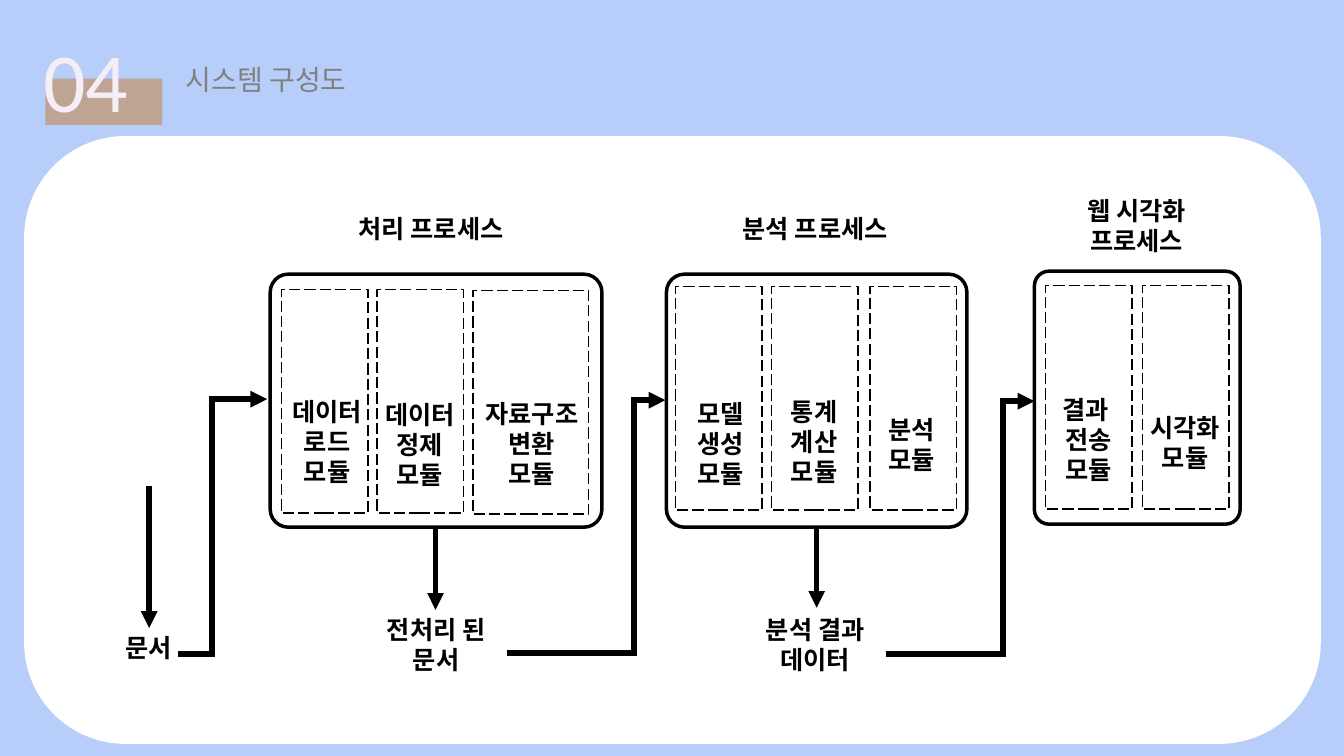
import pptx
import pptx.util
import pptx.dml.color
import pptx.enum.dml
import pptx.enum.shapes
import pptx.enum.text
from lxml import etree

SHAPE = pptx.enum.shapes.MSO_SHAPE
ALIGN = pptx.enum.text.PP_ALIGN
COLS, ROWS = 133.3, 75
CELL = pptx.util.Inches(0.1)
COLORS = {"sky": "B7CEFB", "tan": "BEA493", "number": "F5EEF6",
          "title": "808080", "panel": "FFFFFF", "ink": "000000"}
LABEL_FONT, HEAD_FONT = "Noto Sans CJK KR", "Calibri"
MODULE_W, MODULE_H = 8.6, 22.2
FRAME_H = 25.1

STAGES = [
    {"frame": (26.8, 27.2, 32.9), "title": (32.5, 20.7, 20.5, "처리 프로세스"),
     "modules": [(27.9, 28.7, MODULE_W), (37.4, 28.7, MODULE_W), (46.9, 28.8, 11.5)],
     "labels": [(27.1, 38.8, 10.7, "데이터\n로드\n모듈"),
                (36.3, 39.1, 10.7, "데이터\n정제\n모듈"),
                (45.9, 39, 13.7, "자료구조\n변환\n모듈")]},
    {"frame": (66.1, 27.2, 29.8), "title": (70.6, 20.7, 20.5, "분석 프로세스"),
     "modules": [(67, 28.4, MODULE_W), (76.5, 28.4, MODULE_W), (86.3, 28.4, MODULE_W)],
     "labels": [(66.1, 39, 10.7, "모델\n생성\n모듈"),
                (75.4, 38.8, 10.7, "통계\n계산\n모듈"),
                (85.1, 40.6, 10.7, "분석\n모듈")]},
    {"frame": (102.6, 26.9, 20.4), "title": (99.7, 18.9, 26.1, "웹 시각화\n프로세스"),
     "modules": [(103.7, 28.3, MODULE_W), (113.3, 28.3, MODULE_W)],
     "labels": [(102.6, 38.6, 10.7, "결과 \n전송\n모듈"),
                (112.2, 40.4, 10.7, "시각화\n모듈")]},
]
OUTPUTS = [(4.5, 62.3, "문서"), (33, 60.5, "전처리 된\n문서"), (70.6, 60.5, "분석 결과\n데이터")]
DOWN_ARROWS = [(14.8, 48.2, 62.3), (43.2, 52.4, 60.5), (81, 52.3, 60.3)]
ELBOWS = [(17.7, 21, 26.5, 64.9, 39.6), (50.3, 62.9, 66, 64.8, 39.7),
          (87.9, 99.5, 102.6, 64.9, 39.8)]


def grid(*cells):
    return [round(c * CELL) for c in cells]


def rgb(name):
    return pptx.dml.color.RGBColor.from_string(COLORS[name])


def add_box(s, kind, at, fill=None, weight=None, dash=None, corner=None):
    sp = s.shapes.add_shape(kind, *grid(*at))
    sp.shadow.inherit = False
    if corner is not None:
        sp.adjustments[0] = corner
    if fill:
        sp.fill.solid()
        sp.fill.fore_color.rgb = rgb(fill)
    else:
        sp.fill.background()
    if weight:
        sp.line.color.rgb = rgb("ink")
        sp.line.width = pptx.util.Pt(weight)
        sp.line.dash_style = dash
    else:
        sp.line.fill.background()


def format_text(sp, text, size, font, color, bold=False, align=ALIGN.LEFT, spacing=None):
    tf = sp.text_frame
    tf.word_wrap = True
    tf.auto_size = pptx.enum.text.MSO_AUTO_SIZE.NONE
    tf.vertical_anchor = pptx.enum.text.MSO_ANCHOR.TOP
    tf.text = text
    for p in tf.paragraphs:
        p.alignment = align
        if spacing:
            p.line_spacing = pptx.util.Pt(spacing)
        for r in p.runs:
            r.font.name = font
            r.font.size = pptx.util.Pt(size)
            r.font.bold = bold
            r.font.color.rgb = rgb(color)


def add_label(s, x, y, w, text):
    h = 1.2 + 3.8 * len(text.split("\n"))
    sp = s.shapes.add_textbox(*grid(x, y, w, h))
    format_text(sp, text, 18, LABEL_FONT, "ink", True, ALIGN.CENTER, 21.5)


def add_line(s, x1, y1, x2, y2, arrow=False):
    sp = s.shapes.add_connector(pptx.enum.shapes.MSO_CONNECTOR.STRAIGHT, *grid(x1, y1, x2, y2))
    sp.line.color.rgb = rgb("ink")
    sp.line.width = pptx.util.Pt(4)
    if arrow:
        ln = sp.line._get_or_add_ln()
        etree.SubElement(ln, pptx.oxml.ns.qn("a:tailEnd"), type="triangle")
    etree.SubElement(sp._element.spPr, pptx.oxml.ns.qn("a:effectLst"))


def add_elbow(s, start, bend, tip, low, high):
    overlap = 0.3
    add_line(s, start, low, bend + overlap, low)
    add_line(s, bend, low + overlap, bend, high - overlap)
    add_line(s, bend - overlap, high, tip, high, arrow=True)


def add_header(s):
    add_box(s, SHAPE.RECTANGLE, (4.5, 7.8, 11.6, 4.6), "tan")
    number = s.shapes.add_textbox(*grid(3.3, 2.3, 12.8, 11.1))
    format_text(number, "04", 60, HEAD_FONT, "number")
    title = s.shapes.title
    title.left, title.top, title.width, title.height = grid(17.4, 5.7, 27.4, 4.4)
    format_text(title, "시스템 구성도", 20, HEAD_FONT, "title")


def add_stage(s, stage):
    x, y, w = stage["frame"]
    add_box(s, SHAPE.ROUNDED_RECTANGLE, (x, y, w, FRAME_H), weight=2.5, corner=0.071)
    for x, y, w in stage["modules"]:
        add_box(s, SHAPE.RECTANGLE, (x, y, w, MODULE_H), weight=1,
                dash=pptx.enum.dml.MSO_LINE.LONG_DASH)
    for label in [stage["title"], *stage["labels"]]:
        add_label(s, *label)


def main():
    prs = pptx.Presentation()
    prs.slide_width, prs.slide_height = grid(COLS, ROWS)
    s = prs.slides.add_slide(prs.slide_layouts[5])
    s.background.fill.solid()
    s.background.fill.fore_color.rgb = rgb("sky")
    add_header(s)
    add_box(s, SHAPE.ROUNDED_RECTANGLE, (2.4, 13.5, 128.6, 60.3), "panel")
    for stage in STAGES:
        add_stage(s, stage)
    for x, y, text in OUTPUTS:
        add_label(s, x, y, 20.5, text)
    for x, top, bottom in DOWN_ARROWS:
        add_line(s, x, top, x, bottom, arrow=True)
    for elbow in ELBOWS:
        add_elbow(s, *elbow)
    prs.save("out.pptx")


if __name__ == "__main__":
    main()
